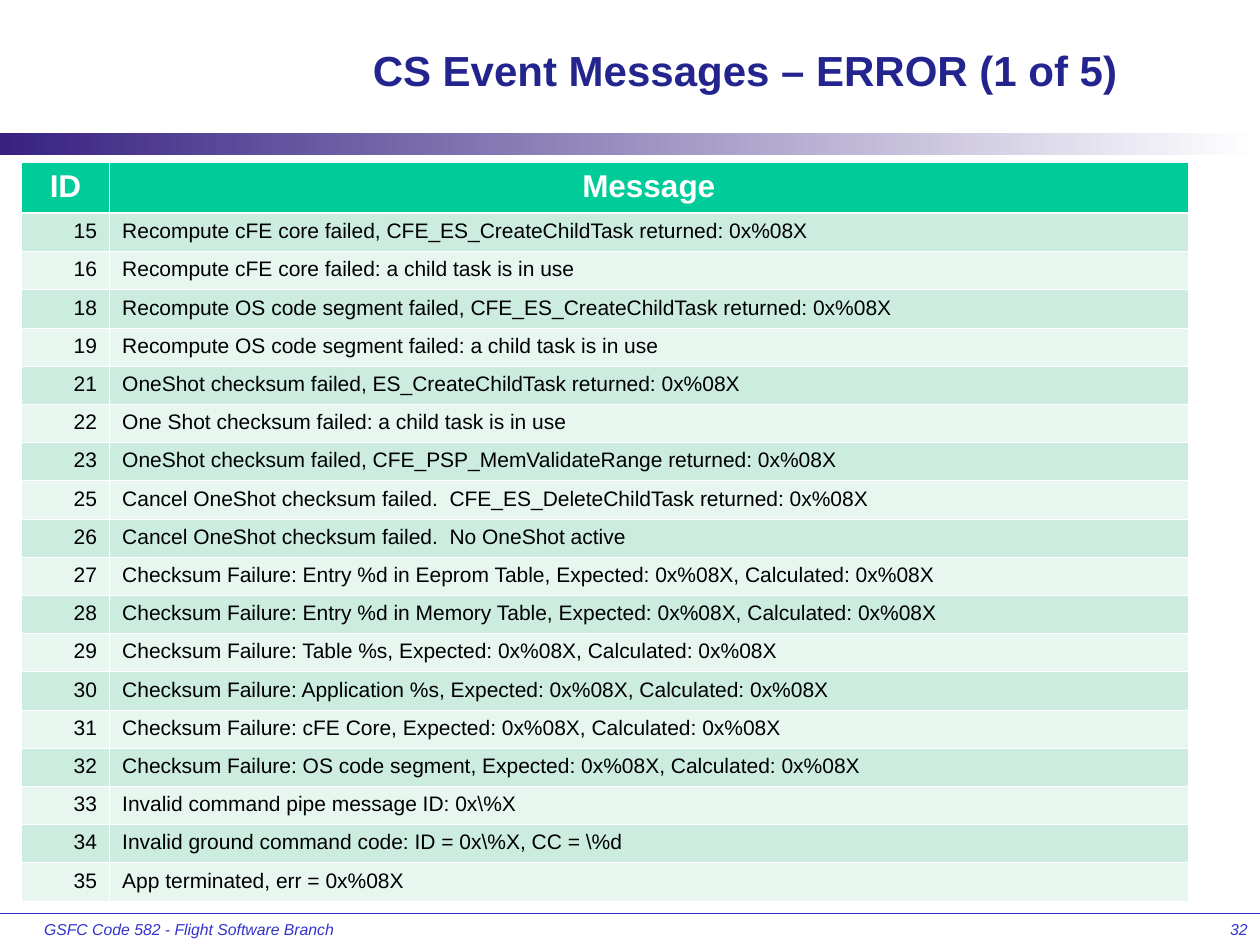
import pptx
import pptx.dml.color
import pptx.enum.shapes
import pptx.enum.text
import pptx.oxml.ns
import pptx.util
from lxml import etree
from pptx.dml.color import RGBColor
from pptx.util import Cm, Pt

NAVY = RGBColor(0x24, 0x24, 0x8E)
BLUE = RGBColor(0x33, 0x33, 0xCC)
PURPLE = RGBColor(0x37, 0x22, 0x82)
WHITE = RGBColor(0xFF, 0xFF, 0xFF)
BLACK = RGBColor(0x00, 0x00, 0x00)
GREEN = RGBColor(0x00, 0xCC, 0x99)
BANDS = RGBColor(0xE7, 0xF6, 0xEF), RGBColor(0xCB, 0xEC, 0xDE)

ALIGN = pptx.enum.text.PP_ALIGN
MIDDLE = pptx.enum.text.MSO_ANCHOR.MIDDLE
qn = pptx.oxml.ns.qn

ROWS = [
    ("ID", "Message"),
    ("15", "Recompute cFE core failed, CFE_ES_CreateChildTask returned: 0x%08X"),
    ("16", "Recompute cFE core failed: a child task is in use"),
    ("18", "Recompute OS code segment failed, CFE_ES_CreateChildTask returned: 0x%08X"),
    ("19", "Recompute OS code segment failed: a child task is in use"),
    ("21", "OneShot checksum failed, ES_CreateChildTask returned: 0x%08X"),
    ("22", "One Shot checksum failed: a child task is in use"),
    ("23", "OneShot checksum failed, CFE_PSP_MemValidateRange returned: 0x%08X"),
    ("25", "Cancel OneShot checksum failed.  CFE_ES_DeleteChildTask returned: 0x%08X"),
    ("26", "Cancel OneShot checksum failed.  No OneShot active"),
    ("27", "Checksum Failure: Entry %d in Eeprom Table, Expected: 0x%08X, Calculated: 0x%08X"),
    ("28", "Checksum Failure: Entry %d in Memory Table, Expected: 0x%08X, Calculated: 0x%08X"),
    ("29", "Checksum Failure: Table %s, Expected: 0x%08X, Calculated: 0x%08X"),
    ("30", "Checksum Failure: Application %s, Expected: 0x%08X, Calculated: 0x%08X"),
    ("31", "Checksum Failure: cFE Core, Expected: 0x%08X, Calculated: 0x%08X"),
    ("32", "Checksum Failure: OS code segment, Expected: 0x%08X, Calculated: 0x%08X"),
    ("33", r"Invalid command pipe message ID: 0x\%X"),
    ("34", r"Invalid ground command code: ID = 0x\%X, CC = \%d"),
    ("35", "App terminated, err = 0x%08X"),
]


class Deck:
    """Holds the style and the current slide."""

    face = "Arial"

    def __init__(self, wide, high):
        self.prs = pptx.Presentation()
        self.prs.slide_width, self.prs.slide_height = Cm(wide), Cm(high)
        self.slide = self.prs.slides.add_slide(self.prs.slide_layouts[5])
        self.shapes = self.slide.shapes

    def put(self, frame, text, size, color, align, bold=False, italic=False):
        frame.word_wrap = True
        para = frame.paragraphs[0]
        para.text = text
        para.alignment = align
        font = para.font
        font.name, font.size = self.face, Pt(size)
        font.bold, font.italic = bold, italic
        font.color.rgb = color

    def title(self, text, left, top, wide, high):
        box = self.shapes.title
        box.left, box.top, box.width, box.height = map(Cm, (left, top, wide, high))
        box.text_frame.vertical_anchor = MIDDLE
        self.put(box.text_frame, text, 24, NAVY, ALIGN.CENTER, bold=True)

    def label(self, text, left, top, wide, high, align):
        box = self.shapes.add_textbox(*map(Cm, (left, top, wide, high)))
        self.put(box.text_frame, text, 9, BLUE, align, italic=True)

    def fade(self, left, top, wide, high):
        kind = pptx.enum.shapes.MSO_SHAPE.RECTANGLE
        bar = self.shapes.add_shape(kind, *map(Cm, (left, top, wide, high)))
        bar.shadow.inherit = False
        bar.line.fill.background()
        bar.fill.gradient()
        bar.fill.gradient_angle = 0
        for stop, color in zip(bar.fill.gradient_stops, (PURPLE, WHITE)):
            stop.color.rgb = color

    def rule(self, left, right, top):
        kind = pptx.enum.shapes.MSO_CONNECTOR.STRAIGHT
        line = self.shapes.add_connector(kind, Cm(left), Cm(top), Cm(right), Cm(top))
        line.line.color.rgb, line.line.width = BLUE, Pt(0.75)
        etree.SubElement(line._element.spPr, qn("a:effectLst"))

    def edge(self, cell, side, width):
        line = etree.SubElement(cell._tc.get_or_add_tcPr(), qn("a:ln" + side), w=str(Pt(width)))
        fill = etree.SubElement(line, qn("a:solidFill"))
        etree.SubElement(fill, qn("a:srgbClr"), val=str(WHITE))

    def table(self, rows, left, top, cols, head, body):
        high = head + body * (len(rows) - 1)
        size = map(Cm, (left, top, sum(cols), high))
        grid = self.shapes.add_table(len(rows), len(cols), *size).table
        grid.horz_banding = False
        for col, wide in zip(grid.columns, cols):
            col.width = Cm(wide)
        for i, row in enumerate(rows):
            grid.rows[i].height = Cm(body if i else head)
            thick = {0: "B", 1: "T"}.get(i)
            for j, text in enumerate(row):
                cell = grid.cell(i, j)
                for side in "LRTB":
                    self.edge(cell, side, 1.5 if side == thick else 0.45)
                cell.fill.solid()
                cell.fill.fore_color.rgb = BANDS[i % 2] if i else GREEN
                if i:
                    align = ALIGN.LEFT if j else ALIGN.RIGHT
                    self.put(cell.text_frame, text, 12, BLACK, align)
                else:
                    self.put(cell.text_frame, text, 18, WHITE, ALIGN.CENTER, bold=True)


def main():
    deck = Deck(25.4, 19.05)
    deck.rule(0, 25.4, 18.42)
    deck.fade(0, 2.69, 25.4, 0.43)
    deck.label("GSFC Code 582 - Flight Software Branch", 0.64, 18.42, 6.6, 0.63, ALIGN.LEFT)
    deck.label("32", 20.12, 18.42, 5.28, 0.63, ALIGN.RIGHT)
    deck.title("CS Event Messages – ERROR (1 of 5)", 5.28, 0.43, 19.48, 1.93)
    deck.table(ROWS, 0.43, 3.28, (1.78, 21.74), 1.02, 0.77)
    deck.prs.save("out.pptx")


if __name__ == "__main__":
    main()
